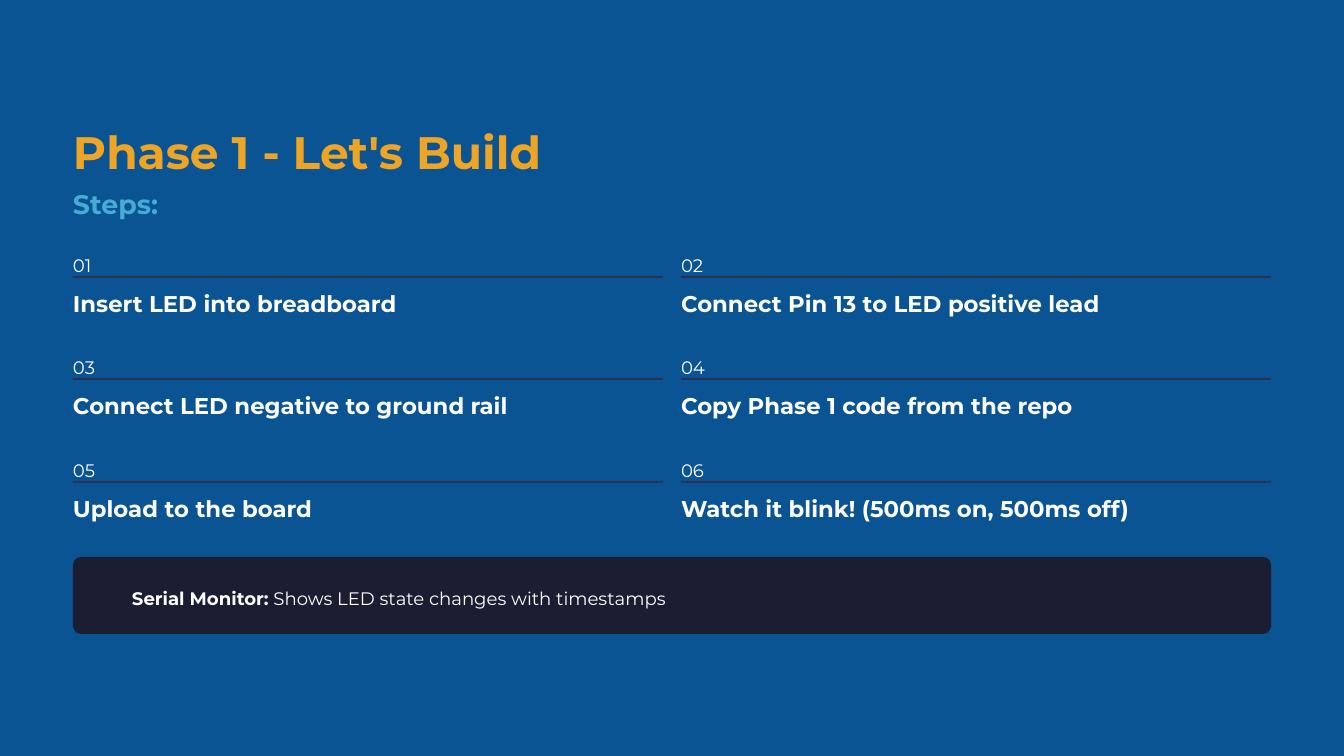
from pptx import Presentation
from pptx.dml.color import RGBColor
from pptx.enum.shapes import MSO_SHAPE
from pptx.enum.text import MSO_ANCHOR
from pptx.util import Emu, Pt

PX = 914400 // 84
FONT = "Montserrat"
COLORS = {
    "background": "0B5494",
    "title": "EEA526",
    "subtitle": "44ADD3",
    "text": "FFFFFF",
    "rule": "2C3252",
    "panel": "1B1E32",
}
STYLES = {
    "title": {"size": 39, "leading": 48.5, "color": "title", "bold": True},
    "subtitle": {"size": 23, "leading": 29, "color": "subtitle", "bold": True},
    "number": {"size": 15.5, "leading": 25, "color": "text", "bold": False},
    "step": {"size": 19.5, "leading": 24, "color": "text", "bold": True},
}
STEPS = [
    "Insert LED into breadboard",
    "Connect Pin 13 to LED positive lead",
    "Connect LED negative to ground rail",
    "Copy Phase 1 code from the repo",
    "Upload to the board",
    "Watch it blink! (500ms on, 500ms off)",
]


def px(*lengths):
    return [Emu(length * PX) for length in lengths]


def add_text(slide, box, runs, style_name):
    """Place one line of text; runs is a list of (text, bold) pairs."""
    style = STYLES[style_name]
    frame = slide.shapes.add_textbox(*px(*box)).text_frame
    frame_format = {
        "margin_left": 0, "margin_top": 0, "margin_right": 0,
        "margin_bottom": 0, "word_wrap": True, "vertical_anchor": MSO_ANCHOR.TOP,
    }
    for name, value in frame_format.items():
        setattr(frame, name, value)
    paragraph = frame.paragraphs[0]
    paragraph.line_spacing = Pt(style["leading"])
    for text, bold in runs:
        run = paragraph.add_run()
        run.text = text
        font_format = {"name": FONT, "size": Pt(style["size"]), "bold": bold}
        for name, value in font_format.items():
            setattr(run.font, name, value)
        run.font.color.rgb = RGBColor.from_string(COLORS[style["color"]])


def add_line(slide, box, text, style_name):
    add_text(slide, box, [(text, STYLES[style_name]["bold"])], style_name)


def add_block(slide, box, color, kind=MSO_SHAPE.RECTANGLE):
    shape = slide.shapes.add_shape(kind, *px(*box))
    shape.shadow.inherit = False
    shape.fill.solid()
    shape.fill.fore_color.rgb = RGBColor.from_string(COLORS[color])
    shape.line.fill.background()
    return shape


def add_heading(slide, left, top):
    add_line(slide, (left, top, 480, 57), "Phase 1 - Let's Build", "title")
    add_line(slide, (left, top + 64, 274, 34), "Steps:", "subtitle")


def add_step(slide, left, top, width, number, text):
    add_line(slide, (left, top, 40, 23), f"{number:02}", "number")
    add_block(slide, (left, top + 29, width, 2), "rule")
    add_line(slide, (left, top + 42, width, 29), text, "step")


def add_step_grid(slide, left, top, width, height):
    columns, rows, gap = 2, 3, 18
    step_width = (width - gap) // columns
    for index, text in enumerate(STEPS):
        row, column = divmod(index, columns)
        add_step(slide, left + column * (step_width + gap),
                 top + row * height // rows, step_width, index + 1, text)


def add_note_panel(slide, left, top, width, height):
    panel = add_block(slide, (left, top, width, height), "panel",
                      MSO_SHAPE.ROUNDED_RECTANGLE)
    panel.adjustments[0] = 0.1
    runs = [("Serial Monitor:", True),
            (" Shows LED state changes with timestamps", False)]
    add_text(slide, (left + 59, top + 23, width - 77, 29), runs, "number")


def main():
    presentation = Presentation()
    presentation.slide_width, presentation.slide_height = px(1344, 756)
    slide = presentation.slides.add_slide(presentation.slide_layouts[6])

    # Background
    slide.background.fill.solid()
    slide.background.fill.fore_color.rgb = RGBColor.from_string(COLORS["background"])

    # Heading, steps and closing note
    add_heading(slide, 73, 122)
    add_step_grid(slide, 73, 247, 1198, 308)
    add_note_panel(slide, 73, 557, 1198, 77)

    presentation.save("out.pptx")


if __name__ == "__main__":
    main()
